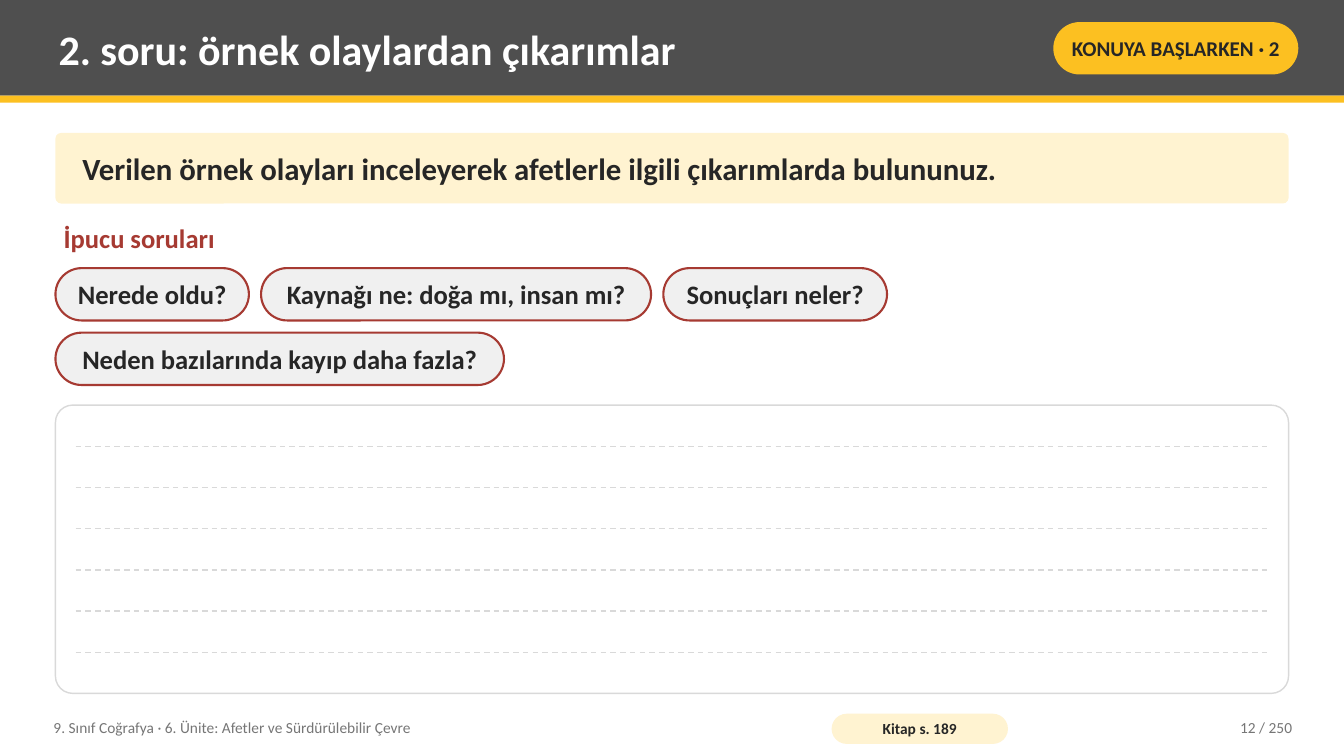
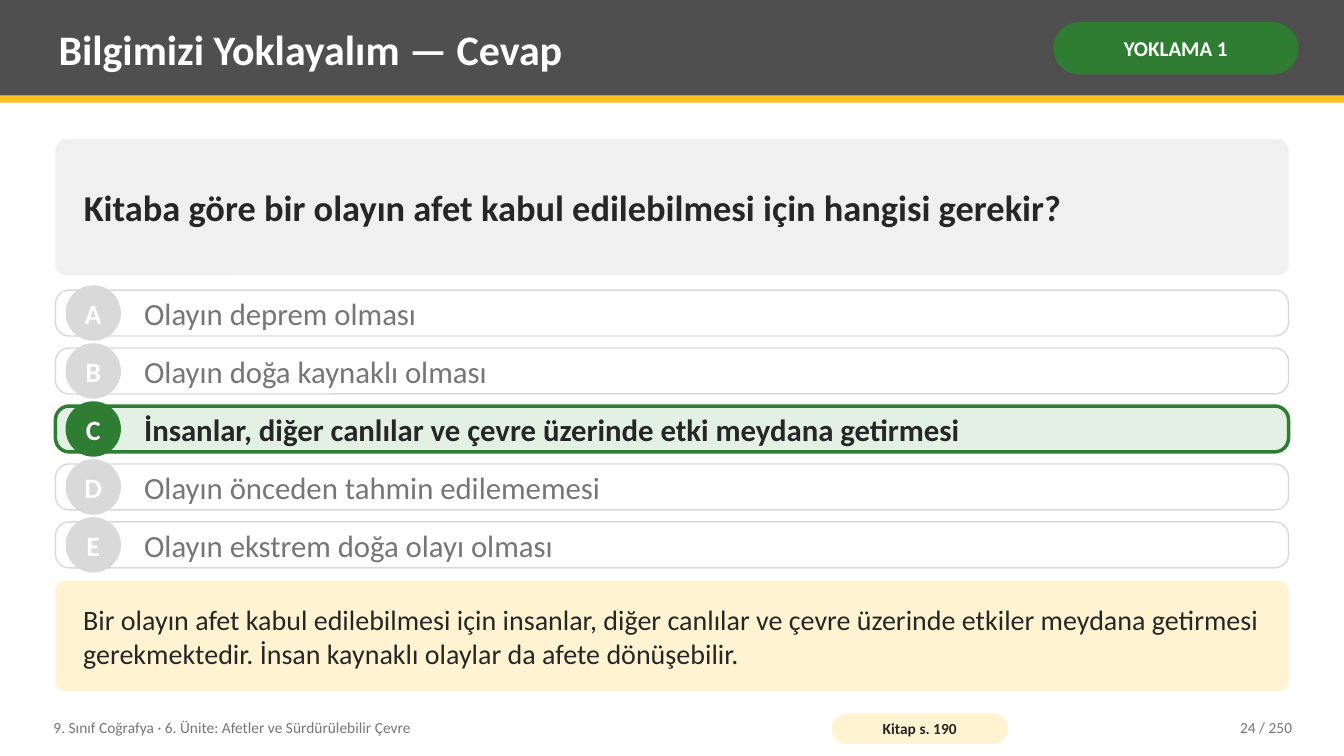
import pptx
import pptx.util
import pptx.dml.color
import pptx.enum.dml
import pptx.enum.shapes
import pptx.enum.text
import pptx.oxml.ns
import lxml.etree

Pt = pptx.util.Pt
SHAPE = pptx.enum.shapes.MSO_SHAPE
ALIGN = pptx.enum.text.PP_ALIGN
ANCHOR = pptx.enum.text.MSO_ANCHOR

# Content
UNIT = "9. Sınıf Coğrafya · 6. Ünite: Afetler ve Sürdürülebilir Çevre"
PAGE_COUNT = 250
HINT_PAGE = {
    "title": "2. soru: örnek olaylardan çıkarımlar",
    "tag": ("KONUYA BAŞLARKEN · 2", "amber", "ink"),
    "book_page": 189,
    "number": 12,
    "task": "Verilen örnek olayları inceleyerek afetlerle ilgili çıkarımlarda bulununuz.",
    "heading": "İpucu soruları",
    "hints": [  # text, width
        ("Nerede oldu?", 138.2),
        ("Kaynağı ne: doğa mı, insan mı?", 278.6),
        ("Sonuçları neler?", 159.8),
        ("Neden bazılarında kayıp daha fazla?", 320.4),
    ],
    "answer_lines": 6,
}
QUIZ_PAGE = {
    "title": "Bilgimizi Yoklayalım — Cevap",
    "tag": ("YOKLAMA 1", "green", "white"),
    "book_page": 190,
    "number": 24,
    "question": "Kitaba göre bir olayın afet kabul edilebilmesi için hangisi gerekir?",
    "options": [
        "Olayın deprem olması",
        "Olayın doğa kaynaklı olması",
        "İnsanlar, diğer canlılar ve çevre üzerinde etki meydana getirmesi",
        "Olayın önceden tahmin edilememesi",
        "Olayın ekstrem doğa olayı olması",
    ],
    "correct": "C",
    "explanation": "Bir olayın afet kabul edilebilmesi için insanlar, diğer canlılar ve çevre "
                   "üzerinde etkiler meydana getirmesi gerekmektedir. İnsan kaynaklı olaylar "
                   "da afete dönüşebilir.",
}

# Shared style
COLORS = {
    "charcoal": "4F4F4F", "amber": "FCC021", "cream": "FFF3D1", "ink": "262626",
    "white": "FFFFFF", "red": "A63A32", "pale": "F0F0F0", "rule": "D9D9D9",
    "muted": "767676", "green": "2E7D32", "mint": "E3F1E4",
}
FONT = "Calibri"
PAGE_WIDTH, PAGE_HEIGHT = 960, 540
MARGIN = 39.6
CONTENT_WIDTH = PAGE_WIDTH - 2 * MARGIN
TEXT_INSETS = (5.8, 2.9)
PANEL_INSETS = (18, 5.8)


def color(name):
    return pptx.dml.color.RGBColor.from_string(COLORS[name])


def write_text(box, text, size=22, ink="ink", bold=False, align=ALIGN.LEFT,
               anchor=ANCHOR.MIDDLE, insets=TEXT_INSETS, wrap=True):
    frame = box.text_frame
    frame.word_wrap = wrap
    frame.vertical_anchor = anchor
    frame.margin_left = frame.margin_right = Pt(insets[0])
    frame.margin_top = frame.margin_bottom = Pt(insets[1])
    para = frame.paragraphs[0]
    para.alignment = align
    span = para.add_run()
    span.text = text
    span.font.name = FONT
    span.font.size = Pt(size)
    span.font.bold = bold
    span.font.color.rgb = color(ink)


def add_label(page, left, top, width, height, text, **text_format):
    box = page.shapes.add_textbox(Pt(left), Pt(top), Pt(width), Pt(height))
    write_text(box, text, **text_format)


def add_block(page, left, top, width, height, fill, kind=SHAPE.ROUNDED_RECTANGLE,
              rounding=None, outline=None, weight=1, text=None, **text_format):
    block = page.shapes.add_shape(kind, Pt(left), Pt(top), Pt(width), Pt(height))
    block.shadow.inherit = False
    block.fill.solid()
    block.fill.fore_color.rgb = color(fill)
    if rounding is not None:
        block.adjustments[0] = rounding
    if outline:
        block.line.color.rgb = color(outline)
        block.line.width = Pt(weight)
    else:
        block.line.fill.background()
    if text:
        write_text(block, text, **text_format)


def add_pill(page, left, top, width, height, fill, text, **options):
    add_block(page, left, top, width, height, fill, rounding=0.5, text=text,
              bold=True, align=ALIGN.CENTER, **options)


def add_panel(page, top, height, fill, text, **text_format):
    add_block(page, MARGIN, top, CONTENT_WIDTH, height, fill, rounding=0.08,
              text=text, insets=PANEL_INSETS, **text_format)


def add_dashed_line(page, left, right, y):
    line = page.shapes.add_connector(
        pptx.enum.shapes.MSO_CONNECTOR.STRAIGHT, Pt(left), Pt(y), Pt(right), Pt(y))
    line.line.color.rgb = color("rule")
    line.line.width = Pt(1)
    line.line.dash_style = pptx.enum.dml.MSO_LINE.DASH
    properties = line._element.spPr
    lxml.etree.SubElement(properties, pptx.oxml.ns.qn("a:effectLst"))


def start_page(deck, content):
    page = deck.slides.add_slide(deck.slide_layouts[6])
    # Header band, title and tag
    add_block(page, 0, 0, PAGE_WIDTH, 68.4, "charcoal", kind=SHAPE.RECTANGLE)
    add_block(page, 0, 68.4, PAGE_WIDTH, 5, "amber", kind=SHAPE.RECTANGLE)
    add_label(page, 36, 5, 702, 59, content["title"], size=30, ink="white", bold=True)
    tag, fill, ink = content["tag"]
    add_pill(page, 752.4, 15.8, 175, 37.4, fill, tag, size=15, ink=ink, insets=(3.6, 1.4))
    return page


def add_footer(page, content):
    add_label(page, 32.4, 506.9, 547.2, 25.9, UNIT, size=11, ink="muted")
    add_pill(page, 594, 509.8, 126, 21.6, "cream", f"Kitap s. {content['book_page']}",
             size=11, insets=(2.9, 0))
    add_label(page, 813.6, 506.9, 115.2, 25.9, f"{content['number']} / {PAGE_COUNT}",
              size=11, ink="muted", align=ALIGN.RIGHT)


def build_hint_page(deck, content):
    page = start_page(deck, content)
    add_panel(page, 95, 50.4, "cream", content["task"], bold=True)
    add_label(page, MARGIN, 155.5, CONTENT_WIDTH, 32.4, content["heading"],
              size=19, ink="red", bold=True, anchor=ANCHOR.TOP)

    # Hint pills run left to right and wrap at the margin
    left, top, height, gap = MARGIN, 191.5, 37.4, 8.7
    for hint, width in content["hints"]:
        if left + width > MARGIN + CONTENT_WIDTH:
            left, top = MARGIN, top + height + gap
        add_pill(page, left, top, width, height, "pale", hint, size=19,
                 outline="red", weight=1.5, insets=(4.3, 0))
        left += width + gap

    # Answer area with evenly spaced writing lines
    top, height, inset = 289.4, 205.9, 14.4
    add_block(page, MARGIN, top, CONTENT_WIDTH, height, "white", rounding=0.06, outline="rule")
    spacing = height / (content["answer_lines"] + 1)
    for index in range(1, content["answer_lines"] + 1):
        add_dashed_line(page, MARGIN + inset, MARGIN + CONTENT_WIDTH - inset,
                        top + index * spacing)
    add_footer(page, content)


def build_quiz_page(deck, content):
    page = start_page(deck, content)
    add_panel(page, 99.4, 97.2, "pale", content["question"], size=26, bold=True)

    # Answer options; the correct one is highlighted
    first_top, pitch, height, badge = 207.2, 41.4, 32.8, 39.6
    for index, option in enumerate(content["options"]):
        letter = "ABCDE"[index]
        correct = letter == content["correct"]
        top = first_top + index * pitch
        accent = "green" if correct else "rule"
        add_block(page, MARGIN, top, CONTENT_WIDTH, height, "mint" if correct else "white",
                  rounding=0.3, outline=accent, weight=2.5 if correct else 1)
        add_block(page, MARGIN + 7.2, top + (height - badge) / 2, badge, badge, accent,
                  kind=SHAPE.OVAL, text=letter, size=20, ink="white", bold=True,
                  align=ALIGN.CENTER, insets=(0, 0), wrap=False)
        add_label(page, 97.2, top, 808.6, height, option,
                  ink="ink" if correct else "muted", bold=correct)

    add_panel(page, 414.7, 79.2, "cream", content["explanation"], size=20)
    add_footer(page, content)


def main():
    deck = pptx.Presentation()
    deck.slide_width, deck.slide_height = Pt(PAGE_WIDTH), Pt(PAGE_HEIGHT)
    build_hint_page(deck, HINT_PAGE)
    build_quiz_page(deck, QUIZ_PAGE)
    deck.save("out.pptx")


if __name__ == "__main__":
    main()
